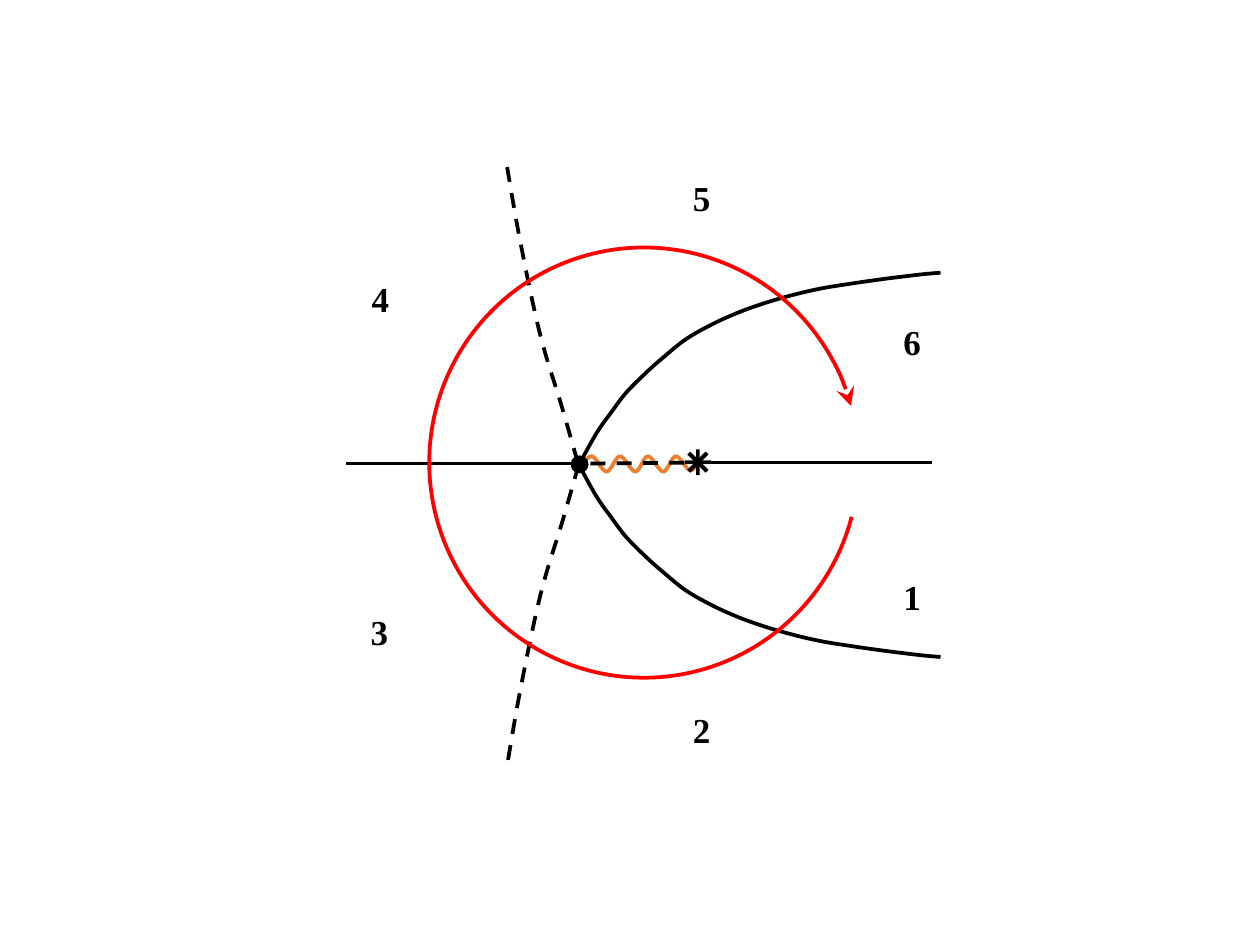
"""Build a slide of six numbered sectors around a branch point."""
import pptx
import pptx.util
import pptx.dml.color
import pptx.enum.dml
import pptx.enum.shapes
import pptx.enum.text
import pptx.oxml
import pptx.oxml.ns

Inches = pptx.util.Inches
qn = pptx.oxml.ns.qn
Kind = pptx.enum.shapes.MSO_SHAPE
BLACK = pptx.dml.color.RGBColor(0x00, 0x00, 0x00)
RED = pptx.dml.color.RGBColor(0xFF, 0x00, 0x00)
ORANGE = pptx.dml.color.RGBColor(0xED, 0x7D, 0x31)

LABELS = [("1", 9.94, 6.34), ("2", 7.6, 7.82), ("3", 4.02, 6.73),
          ("4", 4.03, 3.03), ("5", 7.6, 1.91), ("6", 9.94, 3.51)]
WAVE = [(6.46, 5.17), (6.58, 5.07), (6.74, 5.24), (6.89, 5.07), (7.06, 5.24),
        (7.2, 5.07), (7.37, 5.24), (7.51, 5.07), (7.67, 5.23), (7.76, 5.12)]
BRANCH = [(6.44, 5.15), (6.63, 4.81), (6.8, 4.57), (6.96, 4.36), (7.18, 4.14),
          (7.36, 3.98), (7.62, 3.77), (7.92, 3.6), (8.21, 3.47), (8.49, 3.37),
          (8.8, 3.28), (9.1, 3.21), (9.4, 3.16), (9.82, 3.1), (10.23, 3.05),
          (10.45, 3.03)]
DASHED = [(6.42, 5.14), (6.24, 4.51), (6, 3.71), (5.78, 2.68), (5.63, 1.83)]
RAYS = [((6.44, 5.15), (3.84, 5.15), False),
        ((10.36, 5.14), (7.76, 5.14), False),
        ((6.56, 5.15), (7.71, 5.14), True)]
STAR = [(Kind.MATH_PLUS, 0.097), (Kind.MATH_MULTIPLY, 0.115)]


def mirror(knots, total, shift=0):
    return [(x + shift, total - y) for x, y in knots]


def node(tag, **values):
    item = pptx.oxml.parse_xml(f'<a:{tag} {pptx.oxml.ns.nsdecls("a")}/>')
    for name, value in values.items():
        item.set(name, str(value))
    return item


def bend(shape):
    root = shape._element
    dots = [(int(pt.get("x")), int(pt.get("y"))) for pt in root.iter(qn("a:pt"))]
    ends = [dots[0]] + dots + [dots[-1]]
    spans = zip(list(root.iter(qn("a:lnTo"))), ends, ends[1:], ends[2:], ends[3:])
    for part, a, b, c, d in spans:
        curl = node("cubicBezTo")
        grips = [[q + (r - p) / 6 for p, q, r in zip(a, b, c)],
                 [r - (s - q) / 6 for q, r, s in zip(b, c, d)], c]
        for x, y in grips:
            curl.append(node("pt", x=round(x), y=round(y)))
        part.getparent().replace(part, curl)


def stroke(line, color=BLACK, dash=False):
    line.color.rgb = color
    line.width = pptx.util.Pt(3)
    if dash:
        line.dash_style = pptx.enum.dml.MSO_LINE.DASH


def curve(knots, **style):
    dots = [(Inches(x), Inches(y)) for x, y in knots]
    build = slide.shapes.build_freeform(*dots[0], scale=1.0)
    build.add_line_segments(dots[1:], close=False)
    shape = build.convert_to_shape()
    bend(shape)
    shape.shadow.inherit = False
    shape.fill.background()
    stroke(shape.line, **style)


def ray(start, end, dash):
    link = slide.shapes.add_connector(
        pptx.enum.shapes.MSO_CONNECTOR.STRAIGHT,
        *(Inches(v) for v in start + end))
    stroke(link.line, dash=dash)
    link._element.spPr.append(node("effectLst"))


def label(text, left, top, size=28, color=BLACK, bold=True):
    box = slide.shapes.add_textbox(*map(Inches, (left, top, 0.42, 0.57)))
    frame = box.text_frame
    frame.word_wrap = False
    frame.auto_size = pptx.enum.text.MSO_AUTO_SIZE.SHAPE_TO_FIT_TEXT
    run = frame.paragraphs[0].add_run()
    run.text = text
    run.font.name = "Times New Roman"
    run.font.size = pptx.util.Pt(size)
    run.font.bold = bold
    run.font.color.rgb = color


def solid(shapes, kind, left, top, size):
    shape = shapes.add_shape(kind, *map(Inches, (left, top, size, size)))
    shape.shadow.inherit = False
    shape.fill.solid()
    shape.fill.fore_color.rgb = BLACK
    shape.line.fill.background()
    return shape


def orbit():
    arc = slide.shapes.add_shape(
        Kind.ARC, *map(Inches, (4.77, 2.75, 4.77, 4.78)))
    arc.shadow.inherit = False
    arc.fill.background()
    arc.adjustments[0] = 8.77
    arc.adjustments[1] = 206.81
    stroke(arc.line, RED)
    arc.line._get_or_add_ln().append(
        node("tailEnd", type="stealth", w="lg", len="lg"))


deck = pptx.Presentation()
deck.slide_width = Inches(14)
deck.slide_height = Inches(10.5)
slide = deck.slides.add_slide(deck.slide_layouts[6])

curve(WAVE, color=ORANGE)
curve(mirror(BRANCH, 10.33))
curve(BRANCH)
for start, end, dash in RAYS:
    ray(start, end, dash)
for text, left, top in LABELS:
    label(text, left, top)
curve(DASHED, dash=True)
curve(mirror(DASHED, 10.3, 0.01), dash=True)
solid(slide.shapes, Kind.OVAL, 6.34, 5.06, 0.2)
star = slide.shapes.add_group_shape()
for kind, thick in STAR:
    solid(star.shapes, kind, 7.56, 4.94, 0.39).adjustments[0] = thick
orbit()
deck.save("out.pptx")
